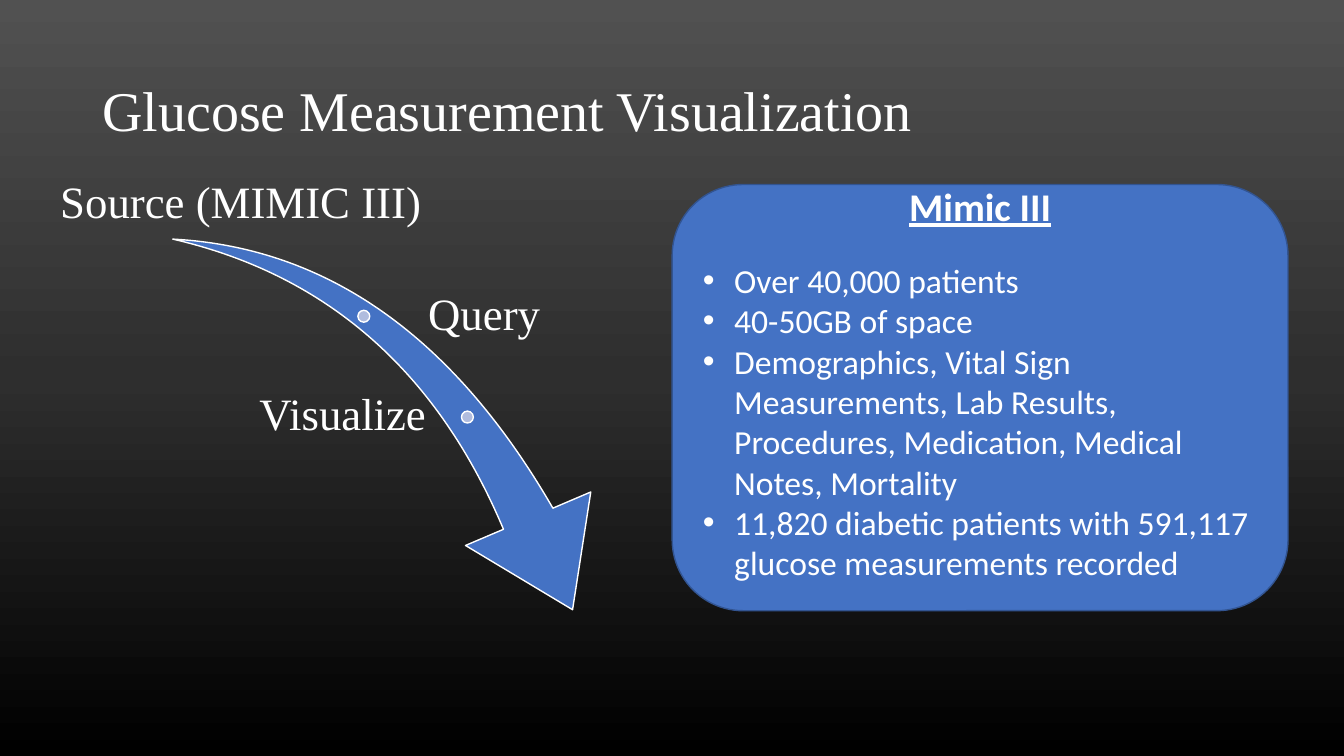
from copy import deepcopy

from lxml.etree import SubElement
from pptx import Presentation
from pptx.dml.color import RGBColor
from pptx.enum.shapes import MSO_SHAPE
from pptx.enum.text import MSO_ANCHOR, PP_ALIGN
from pptx.oxml.ns import qn
from pptx.util import Cm, Pt

WHITE = "FFFFFF"
BLUE = "4472C4"
SERIF = "Times New Roman"


def add_shape(kind, left, top, width, height, fill, line):
    shape = page.shapes.add_shape(kind, Cm(left), Cm(top), Cm(width), Cm(height))
    shape.shadow.inherit = False
    shape.fill.solid()
    shape.fill.fore_color.rgb = RGBColor.from_string(fill)
    shape.line.color.rgb = RGBColor.from_string(line)
    shape.line.width = Pt(1)
    return shape


def write(frame, lines, size, font=SERIF, align=PP_ALIGN.LEFT, spacing=0.9,
          bold=False, underline=False, bullet=False, after=0):
    """Append lines to a text frame, filling its first paragraph if empty."""
    for line in lines:
        para = frame.add_paragraph() if frame.text else frame.paragraphs[0]
        para.alignment = align
        para.line_spacing = spacing
        para.space_after = Pt(after)
        if bullet:
            properties = para._p.get_or_add_pPr()
            properties.set("marL", str(Cm(0.79)))
            properties.set("indent", str(-Cm(0.79)))
            SubElement(properties, qn("a:buFont"), typeface="Arial")
            SubElement(properties, qn("a:buChar"), char="•")
        span = para.add_run()
        span.text = line
        span.font.name = font
        span.font.size = Pt(size)
        span.font.bold = bold
        span.font.underline = underline
        span.font.color.rgb = RGBColor.from_string(WHITE)


deck = Presentation()
deck.slide_width, deck.slide_height = Cm(33.87), Cm(19.05)
page = deck.slides.add_slide(deck.slide_layouts[6])

# Background: three-stop gradient from top to bottom
background = page.background.fill
background.gradient()
background.gradient_angle = 270
stop_list = page._element.find(".//" + qn("a:gsLst"))
stop_list.append(deepcopy(stop_list[0]))
gradient = [(0, "515151"), (0.5, "2E2E2E"), (1, "000000")]
for stop, (position, color) in zip(background.gradient_stops, gradient):
    stop.position = position
    stop.color.rgb = RGBColor.from_string(color)

# Curved arrow with its two step markers
arrow = add_shape(MSO_SHAPE.SWOOSH_ARROW, 4.09, 6.38, 11.84, 8.26, BLUE, WHITE)
arrow.rotation = 73.3
arrow.adjustments[0] = 0.163
arrow.adjustments[1] = 0.314
for left, top in [(9.02, 7.82), (11.63, 10.36)]:
    add_shape(MSO_SHAPE.OVAL, left, top, 0.3, 0.3, "B0BCDE", WHITE)

# Title and step labels
labels = [
    ("Source (MIMIC III)", -0.28, 3.66, 12.7, 2.18, 32, 0.1, PP_ALIGN.CENTER, MSO_ANCHOR.BOTTOM),
    ("Query", 10.69, 6.88, 7.7, 2.18, 32, 0.1, PP_ALIGN.LEFT, MSO_ANCHOR.MIDDLE),
    ("Visualize", 3.3, 9.4, 7.54, 2.18, 32, 0.1, PP_ALIGN.RIGHT, MSO_ANCHOR.MIDDLE),
    ("Glucose Measurement Visualization", 2.33, 1.01, 29.21, 3.68, 40, 0.25,
     PP_ALIGN.LEFT, MSO_ANCHOR.MIDDLE),
]
for text, left, top, width, height, size, inset, align, anchor in labels:
    box = page.shapes.add_textbox(Cm(left), Cm(top), Cm(width), Cm(height))
    frame = box.text_frame
    frame.word_wrap = True
    frame.vertical_anchor = anchor
    frame.margin_left = frame.margin_right = Cm(inset)
    frame.margin_top = frame.margin_bottom = Cm(0.1)
    write(frame, [text], size, align=align)

# Data set panel
panel = add_shape(MSO_SHAPE.ROUNDED_RECTANGLE, 16.94, 4.65, 15.52, 10.74, BLUE, "325491")
frame = panel.text_frame
frame.word_wrap = True
frame.vertical_anchor = MSO_ANCHOR.MIDDLE
frame.margin_bottom = Cm(0.9)
write(frame, ["Mimic III"], 28, font="Calibri", align=PP_ALIGN.CENTER, spacing=1,
      bold=True, underline=True, after=22)
facts = [
    "Over 40,000 patients",
    "40-50GB of space",
    "Demographics, Vital Sign Measurements, Lab Results, Procedures, "
    "Medication, Medical Notes, Mortality",
    "11,820 diabetic patients with 591,117 glucose measurements recorded",
]
write(frame, facts, 24, font="Calibri", spacing=1, bullet=True)

deck.save("out.pptx")
